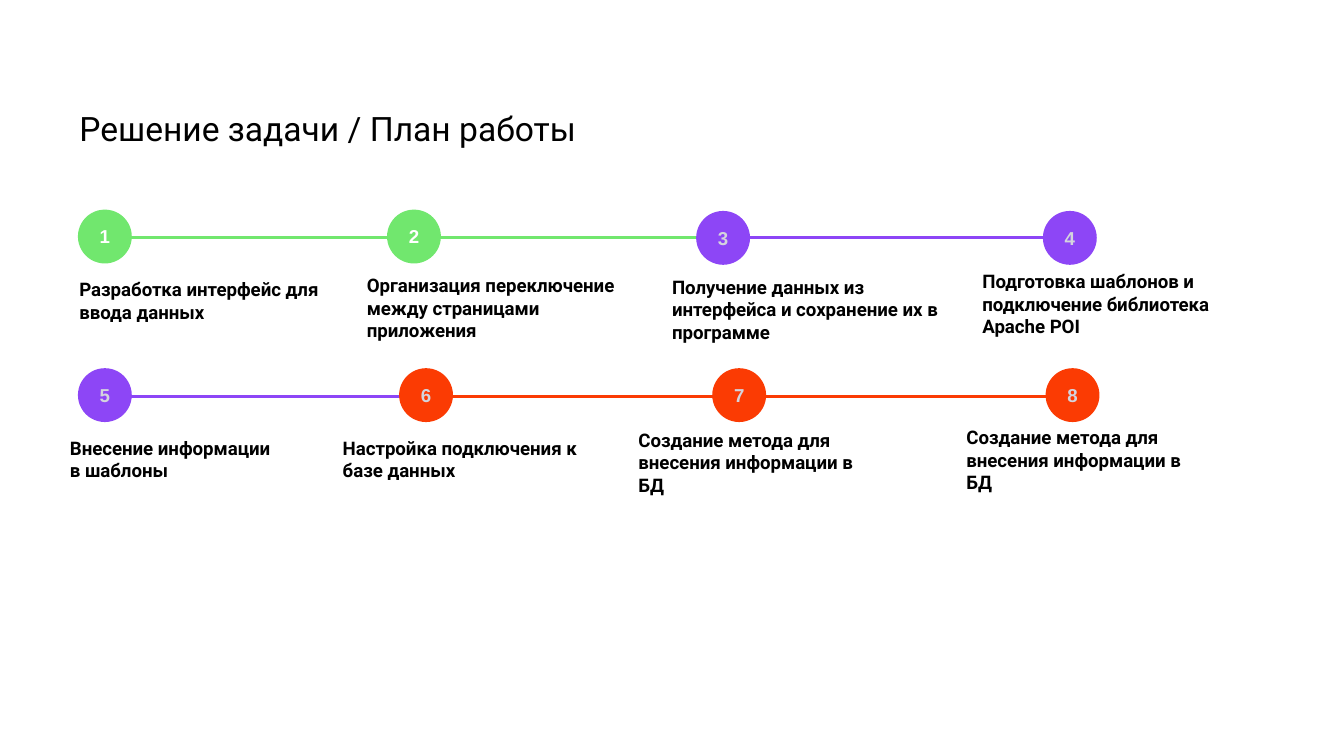
from itertools import pairwise

from lxml import etree
from pptx import Presentation
from pptx import util as u
from pptx.dml.color import RGBColor
from pptx.enum import shapes, text
from pptx.oxml.ns import qn

COLORS = {
    "done": "71E76E",
    "active": "8D46F6",
    "planned": "FB3B03",
    "black": "000000",
    "white": "FFFFFF",
    "muted": "D4D4DD",
}
DIAMETER = 0.38
LINE_WIDTH = u.Pt(1.5)
TITLE_FORMAT = {"name": "Roboto", "size": u.Pt(18), "bold": False}
CAPTION_FORMAT = {"name": "Roboto", "size": u.Pt(10), "bold": True}
NUMBER_FORMAT = {"name": "Arial", "size": u.Pt(10), "bold": True}

ROWS = {
    1.77: [
        ("done", (0.59, 1.57), (0.59, 1.97, 1.91, 0.54),
         "Разработка интерфейс для ввода данных"),
        ("done", (2.89, 1.57), (2.73, 1.94, 2.07, 0.62),
         "Организация переключение между страницами приложения"),
        ("active", (5.19, 1.58), (5, 1.95, 2.11, 0.58),
         "Получение данных из интерфейса и сохранение их в программе"),
        ("active", (7.77, 1.58), (7.31, 1.91, 2.15, 0.58),
         "Подготовка шаблонов и подключение библиотека Apache POI"),
    ],
    2.95: [
        ("active", (0.59, 2.75), (0.52, 3.15, 1.91, 0.58),
         "Внесение информации\nв шаблоны"),
        ("planned", (2.98, 2.75), (2.55, 3.15, 1.91, 0.5),
         "Настройка подключения к базе данных"),
        ("planned", (5.31, 2.75), (4.75, 3.09, 1.91, 0.53),
         "Создание метода для внесения информации в БД"),
        ("planned", (7.79, 2.75), (7.19, 3.07, 1.91, 0.66),
         "Создание метода для внесения информации в БД"),
    ],
}


def rgb(name):
    return RGBColor.from_string(COLORS[name])


def fill_text(shape, content, margins, font_format, color, align, anchor):
    frame = shape.text_frame
    frame.word_wrap = True
    frame.vertical_anchor = anchor
    for side, margin in zip(("left", "top", "right", "bottom"), margins):
        setattr(frame, f"margin_{side}", u.Inches(margin))
    frame.text = content
    for paragraph in frame.paragraphs:
        paragraph.alignment = align
        for run in paragraph.runs:
            for key, value in font_format.items():
                setattr(run.font, key, value)
            run.font.color.rgb = rgb(color)


def add_text(slide, box, content, margins, font_format):
    shape = slide.shapes.add_textbox(*map(u.Inches, box))
    fill_text(shape, content, margins, font_format, "black",
              text.PP_ALIGN.LEFT, text.MSO_ANCHOR.TOP)


def add_circle(slide, number, position, status):
    left, top = map(u.Inches, position)
    size = u.Inches(DIAMETER)
    shape = slide.shapes.add_shape(shapes.MSO_SHAPE.OVAL, left, top, size, size)
    shape.shadow.inherit = False
    shape.fill.solid()
    shape.fill.fore_color.rgb = rgb(status)
    shape.line.color.rgb = rgb(status)
    shape.line.width = LINE_WIDTH
    number_color = "white" if status == "done" else "muted"
    fill_text(shape, str(number), (0, 0, 0, 0), NUMBER_FORMAT, number_color,
              text.PP_ALIGN.CENTER, text.MSO_ANCHOR.MIDDLE)


def add_link(slide, left, right, y, status):
    connector = slide.shapes.add_connector(
        shapes.MSO_CONNECTOR.STRAIGHT, *map(u.Inches, (left, y, right, y)))
    connector.line.color.rgb = rgb(status)
    connector.line.width = LINE_WIDTH
    etree.SubElement(connector._element.spPr, qn("a:effectLst"))


def main():
    presentation = Presentation()
    presentation.slide_width = u.Inches(10)
    presentation.slide_height = presentation.slide_width * 9 // 16
    slide = presentation.slides.add_slide(presentation.slide_layouts[6])

    add_text(slide, (0.59, 0.79, 8.82, 0.31), "Решение задачи / План работы",
             (0, 0.01, 0, 0), TITLE_FORMAT)
    for y, row in ROWS.items():
        for (status, start, *_), (_, end, *_) in pairwise(row):
            add_link(slide, start[0] + DIAMETER, end[0], y, status)
    steps = [step for row in ROWS.values() for step in row]
    for number, (status, position, box, caption) in enumerate(steps, 1):
        add_circle(slide, number, position, status)
        add_text(slide, box, caption, (0, 0.1, 0.1, 0.1), CAPTION_FORMAT)

    presentation.save("out.pptx")


if __name__ == "__main__":
    main()
